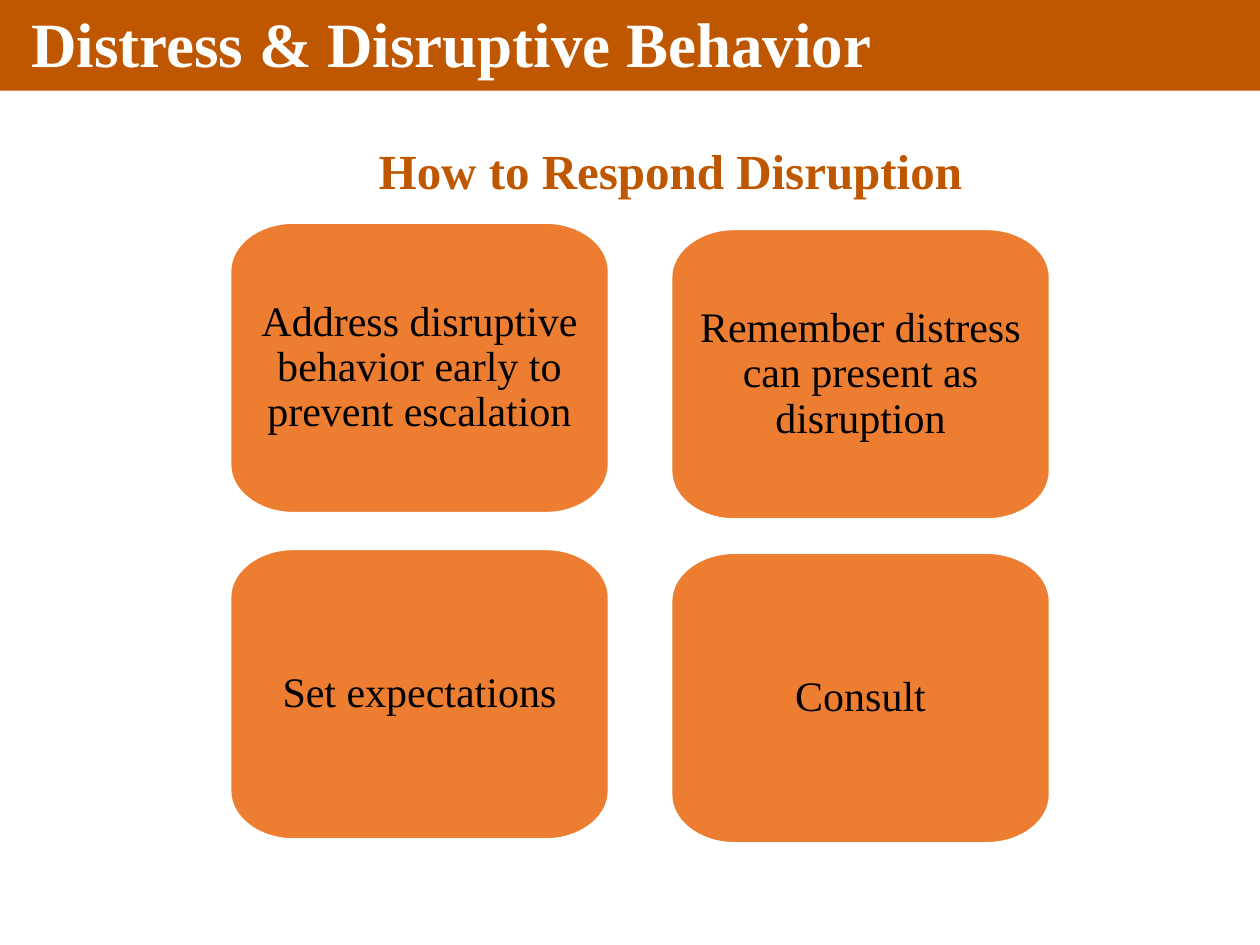
from lxml import etree
from pptx import Presentation
from pptx import util as u
from pptx.dml.color import RGBColor
from pptx.enum import shapes, text
from pptx.oxml.ns import qn

BURNT_ORANGE = RGBColor(0xBF, 0x57, 0x00)
ORANGE = RGBColor(0xED, 0x7D, 0x31)
WHITE = RGBColor(0xFF, 0xFF, 0xFF)
BLACK = RGBColor(0x00, 0x00, 0x00)

CARD_WIDTH, CARD_HEIGHT = u.Inches(3), u.Inches(2.3)
CORNER_X, CORNER_Y = u.Inches(0.5), u.Inches(0.38)
ARC_PULL = 0.55  # how far Bezier handles reach towards the corner


def write_text(shape, words, size, color, bold=False,
               align=text.PP_ALIGN.CENTER, inset=None):
    frame = shape.text_frame
    frame.word_wrap = True
    frame.vertical_anchor = text.MSO_ANCHOR.MIDDLE
    if inset is not None:
        frame.margin_left = frame.margin_right = u.Inches(inset)
        frame.margin_top = frame.margin_bottom = u.Inches(inset)
    paragraph = frame.paragraphs[0]
    paragraph.text = words
    paragraph.alignment = align
    paragraph.line_spacing = 0.9
    font = paragraph.font
    font.name, font.size, font.bold = "Times New Roman", u.Pt(size), bold
    font.color.rgb = color


def curve_corners(shape):
    """Turn the four cut corners of a card into Bezier curves."""
    right, bottom = CARD_WIDTH, CARD_HEIGHT
    corners = [(0, 0), (right, 0), (right, bottom), (0, bottom)]
    points = list(shape.element.iter(qn("a:pt")))
    for number, corner in enumerate(corners):
        start, end = points[2 * number:2 * number + 2]
        segment = end.getparent()
        curve = etree.Element(qn("a:cubicBezTo"))
        for anchor in (start, end):
            x, y = (round(value + ARC_PULL * (target - value))
                    for value, target in zip(
                        (int(anchor.get("x")), int(anchor.get("y"))), corner))
            etree.SubElement(curve, qn("a:pt"), x=str(x), y=str(y))
        segment.getparent().replace(segment, curve)
        curve.append(end)


class SlideBuilder:
    def __init__(self, slide):
        self.slide = slide

    def band(self, left, top, width, height):
        shape = self.slide.shapes.add_shape(
            shapes.MSO_SHAPE.RECTANGLE,
            *map(u.Inches, (left, top, width, height)))
        shape.shadow.inherit = False
        shape.fill.solid()
        shape.fill.fore_color.rgb = BURNT_ORANGE
        shape.line.fill.background()

    def label(self, box, words, **style):
        shape = self.slide.shapes.add_textbox(*map(u.Inches, box))
        write_text(shape, words, bold=True, **style)

    def card(self, left, top, words):
        right, bottom = CARD_WIDTH, CARD_HEIGHT
        builder = self.slide.shapes.build_freeform(0, CORNER_Y)
        builder.add_line_segments([
            (CORNER_X, 0), (right - CORNER_X, 0),
            (right, CORNER_Y), (right, bottom - CORNER_Y),
            (right - CORNER_X, bottom), (CORNER_X, bottom),
            (0, bottom - CORNER_Y)], close=True)
        shape = builder.convert_to_shape(u.Inches(left), u.Inches(top))
        curve_corners(shape)
        shape.shadow.inherit = False
        shape.fill.solid()
        shape.fill.fore_color.rgb = ORANGE
        shape.line.color.rgb = WHITE
        shape.line.width = u.Pt(1)
        write_text(shape, words, size=24, color=BLACK, inset=0.17)


def main():
    presentation = Presentation()
    presentation.slide_width = u.Inches(10)
    presentation.slide_height = u.Inches(7.5)
    slide = presentation.slides.add_slide(presentation.slide_layouts[6])
    builder = SlideBuilder(slide)

    # Title band
    builder.band(0, 0, 10, 0.72)
    builder.label((0.15, 0.01, 8.2, 0.72), "Distress & Disruptive Behavior",
                  size=36, color=WHITE, align=text.PP_ALIGN.LEFT)

    # Heading
    builder.label((2.33, 0.81, 5.98, 1.14), "How to Respond Disruption",
                  size=28, color=BURNT_ORANGE)

    # Response cards
    cards = [
        (1.83, 1.77, "Address disruptive behavior early to prevent escalation"),
        (5.33, 1.82, "Remember distress can present as disruption"),
        (1.83, 4.36, "Set expectations"),
        (5.33, 4.39, "Consult"),
    ]
    for left, top, words in cards:
        builder.card(left, top, words)

    presentation.save("out.pptx")


if __name__ == "__main__":
    main()
